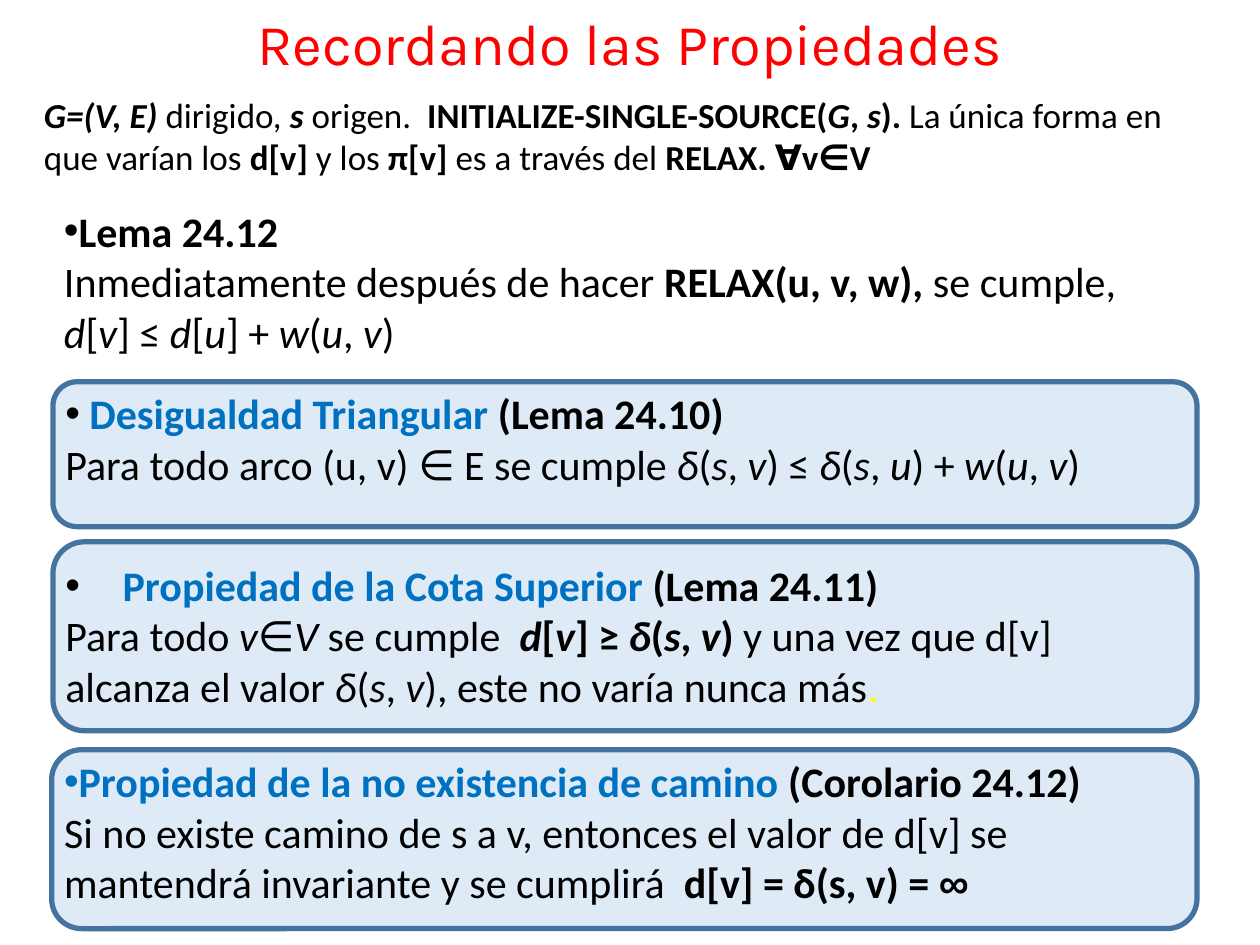
from lxml.etree import SubElement
from pptx import Presentation
from pptx.dml.color import RGBColor
from pptx.enum.shapes import MSO_SHAPE
from pptx.enum.text import MSO_ANCHOR, MSO_AUTO_SIZE, PP_ALIGN
from pptx.oxml.ns import qn
from pptx.util import Inches, Pt

BLACK = RGBColor(0x00, 0x00, 0x00)
RED = RGBColor(0xFF, 0x00, 0x00)
BLUE = RGBColor(0x00, 0x70, 0xC0)
YELLOW = RGBColor(0xFF, 0xFF, 0x00)
PANEL_FILL = RGBColor(0xDE, 0xEB, 0xF7)
PANEL_LINE = RGBColor(0x43, 0x73, 0x9E)

BOLD, ITALIC, HIGHLIGHT, DOT, SYMBOL = "*_#~@"

TITLE = "Recordando las Propiedades"
INTRO = (
    "*_G=(V, E) *_dirigido, *_s*_ origen.  *INITIALIZE-SINGLE-SOURCE(_G_, _s_). *"
    "La única forma en que varían los *d[v] *y los *π[v] *es a través del *RELAX. ∀v∈V*"
)
PANELS = [
    (0.42, 3.03, 9.08, 1.15),
    (0.42, 4.3, 9.08, 1.5),
    (0.41, 5.95, 9.09, 1.42),
]
PROPERTIES = [
    {
        "box": (0.42, 3.03, 8.83, 1.31),
        "indent": (0, 0),
        "lines": [
            "* #Desigualdad Triangular #(Lema 24.10)*",
            "Para todo arco (u, v) ∈ E se cumple _δ_(_s_, _v_) ≤ _δ_(_s_, _u_) + _w_(_u_, _v_)",
        ],
    },
    {
        "box": (0.42, 4.39, 9.08, 1.31),
        "indent": (0.38, -0.38),
        "lines": [
            "* #Propiedad de la Cota Superior #(Lema 24.11)*",
            "Para todo _v∈V_ se cumple  *_d_[_v_] ≥ _δ_(_s_, _v_) *y una vez que d[v] "
            "alcanza el valor _δ_(_s_, _v_), este no varía nunca más@~.~@",
        ],
    },
    {
        "box": (0.41, 5.95, 9.09, 1.72),
        "indent": (0, -0.38),
        "lines": [
            "*#Propiedad de la no existencia de camino #(Corolario 24.12)*",
            "Si no existe camino de s a v, entonces el valor de d[v] se mantendrá "
            "invariante y se cumplirá * d[v] = δ(s, v) = @∞@*",
        ],
    },
    {
        "box": (0.41, 1.58, 9.84, 1.31),
        "indent": (0, -0.38),
        "lines": [
            "*Lema 24.12*",
            "Inmediatamente después de hacer *RELAX(u, v, w), *se cumple,",
            "_d_[_v_] ≤ _d_[_u_] + _w_(_u_, _v_)",
        ],
    },
]


def split_runs(markup):
    active, text = set(), ""
    for character in markup:
        if character in (BOLD, ITALIC, HIGHLIGHT, DOT, SYMBOL):
            if text:
                yield text, frozenset(active)
            active ^= {character}
            text = ""
        else:
            text += character
    if text:
        yield text, frozenset(active)


def add_bullet(paragraph, indent):
    properties = paragraph._p.get_or_add_pPr()
    properties.set("marL", str(Inches(indent[0])))
    properties.set("indent", str(Inches(indent[1])))
    SubElement(properties, qn("a:buFont")).set("typeface", "Arial")
    SubElement(properties, qn("a:buChar")).set("char", "•")


def add_text(slide, box, lines, size=24, font="Calibri", color=BLACK, indent=None,
             align=PP_ALIGN.LEFT, anchor=MSO_ANCHOR.TOP, spacing=None,
             auto_size=MSO_AUTO_SIZE.SHAPE_TO_FIT_TEXT):
    frame = slide.shapes.add_textbox(*map(Inches, box)).text_frame
    frame.word_wrap = True
    frame.auto_size = auto_size
    frame.vertical_anchor = anchor
    for index, line in enumerate(lines):
        paragraph = frame.add_paragraph() if index else frame.paragraphs[0]
        paragraph.alignment = align
        paragraph.line_spacing = spacing
        if indent and index == 0:
            add_bullet(paragraph, indent)
        for text, styles in split_runs(line):
            run = paragraph.add_run()
            run.text = text
            run.font.size = Pt(size)
            run.font.name = "Arial" if SYMBOL in styles else font
            run.font.bold = BOLD in styles
            run.font.italic = ITALIC in styles
            run.font.color.rgb = (
                BLUE if HIGHLIGHT in styles else YELLOW if DOT in styles else color
            )


def add_panel(slide, box):
    shape = slide.shapes.add_shape(MSO_SHAPE.ROUNDED_RECTANGLE, *map(Inches, box))
    shape.shadow.inherit = False
    shape.fill.solid()
    shape.fill.fore_color.rgb = PANEL_FILL
    shape.line.color.rgb = PANEL_LINE
    shape.line.width = Pt(3)


def main():
    presentation = Presentation()
    presentation.slide_width = Inches(10)
    presentation.slide_height = Inches(7.5)
    slide = presentation.slides.add_slide(presentation.slide_layouts[6])
    add_text(slide, (0.25, 0, 9.5, 0.75), [TITLE], size=33, font="Karla", color=RED,
             align=PP_ALIGN.CENTER, anchor=MSO_ANCHOR.MIDDLE, spacing=0.9,
             auto_size=MSO_AUTO_SIZE.NONE)
    add_text(slide, (0.25, 0.69, 9.25, 0.77), [INTRO], size=20)
    for panel in PANELS:
        add_panel(slide, panel)
    for item in PROPERTIES:
        add_text(slide, item["box"], item["lines"], indent=item["indent"])
    presentation.save("out.pptx")


if __name__ == "__main__":
    main()
